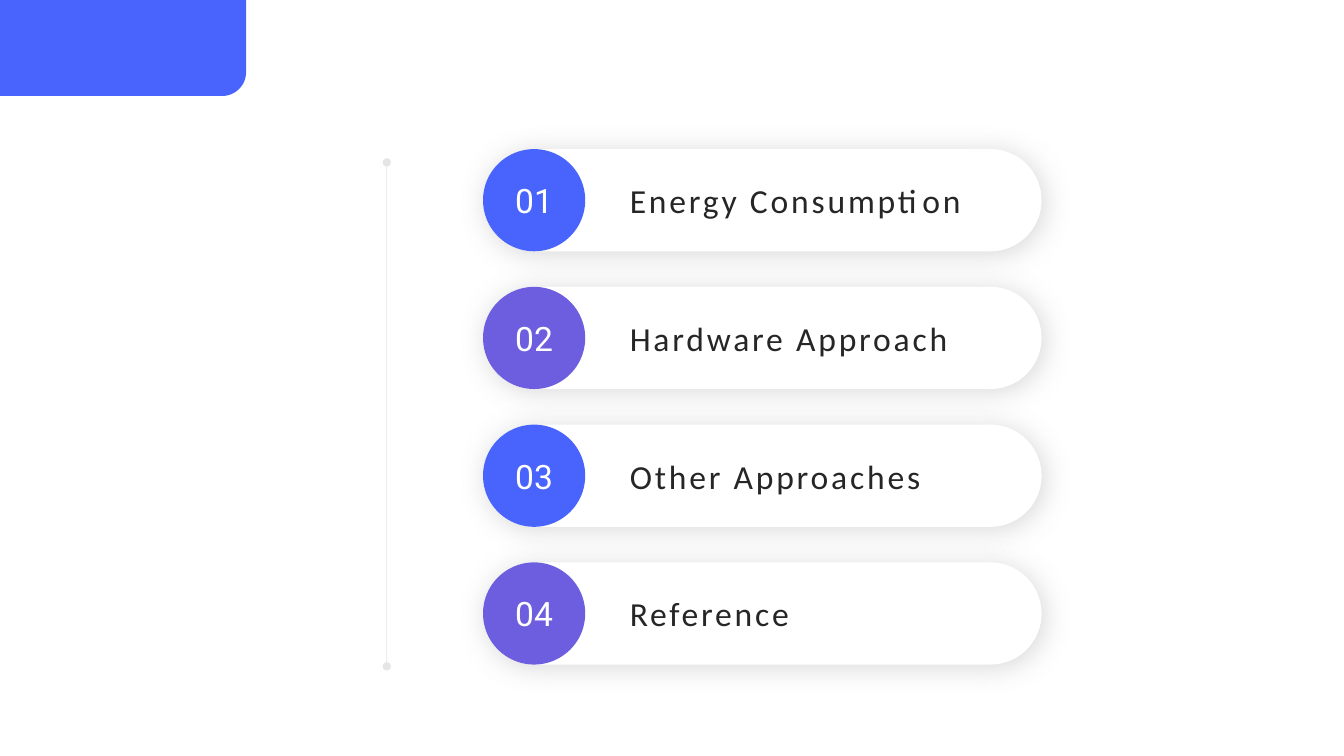
from dataclasses import dataclass

from lxml import etree
from pptx import Presentation
from pptx.dml.color import RGBColor
from pptx.enum import shapes, text
from pptx.oxml import ns, parse_xml
from pptx.util import Pt


@dataclass(frozen=True)
class Theme:
    blue: str = "4864FC"
    violet: str = "6C5EDE"
    white: str = "FFFFFF"
    gray: str = "808080"
    ink: str = "262626"
    digit: str = "Roboto"
    label: str = "Calibri"
    size: float = 24
    track: int = 200


THEME = Theme()
KIND = shapes.MSO_SHAPE
TOPICS = ["Energy Consumption", "Hardware Approach", "Other Approaches", "Reference"]


def apply(item, values):
    for name, value in values.items():
        setattr(item, name, value)


def color(value):
    return RGBColor.from_string(value)


def draw(slide, kind, box, fill):
    """Add a flat filled shape without outline."""
    shape = slide.shapes.add_shape(kind, *map(Pt, box))
    shape.shadow.inherit = False
    shape.fill.solid()
    shape.fill.fore_color.rgb = color(fill)
    shape.line.fill.background()
    return shape


def write(shape, words, font, ink, align, pad=0, wrap=True):
    """Put one vertically centred line of text in a shape."""
    frame = shape.text_frame
    apply(frame, {
        "margin_left": Pt(pad), "margin_right": Pt(pad),
        "margin_top": 0, "margin_bottom": 0, "word_wrap": wrap,
        "vertical_anchor": text.MSO_ANCHOR.MIDDLE,
    })
    para = frame.paragraphs[0]
    para.alignment = align
    run = para.add_run()
    run.text = words
    apply(run.font, {"name": font, "size": Pt(THEME.size)})
    run.font.color.rgb = color(ink)
    return run


def cast(shape):
    """Give a shape a soft shadow to the lower right."""
    effects = shape._element.spPr.find(ns.qn("a:effectLst"))
    effects.append(parse_xml(
        f'<a:outerShdw {ns.nsdecls("a")} blurRad="{Pt(20)}" dist="{Pt(3)}" '
        f'dir="2700000" algn="tl" rotWithShape="0"><a:srgbClr val="{THEME.gray}">'
        '<a:alpha val="30000"/></a:srgbClr></a:outerShdw>'))


def corner(slide, box):
    """Tab with its lower right corner rounded, by a quarter turn."""
    left, top, width, height = box
    shift = (width - height) / 2
    tab = draw(slide, KIND.ROUND_1_RECTANGLE,
               (left + shift, top - shift, height, width), THEME.blue)
    tab.rotation = 90
    tab.adjustments[0] = 0.25


def rail(slide, box):
    """Pale vertical line with a dot at each end."""
    left, top, width, height = box
    line = slide.shapes.add_connector(
        shapes.MSO_CONNECTOR.STRAIGHT, Pt(left), Pt(top), Pt(left + width), Pt(top + height))
    line.line.width = Pt(0.5)
    line.line.color.rgb = color(THEME.gray)
    props = line._element.spPr
    stroke = props.find(ns.qn("a:ln"))
    tint = stroke.find(".//" + ns.qn("a:srgbClr"))
    etree.SubElement(tint, ns.qn("a:alpha"), val="20000")
    for end in ("a:headEnd", "a:tailEnd"):
        etree.SubElement(stroke, ns.qn(end), type="oval")
    etree.SubElement(props, ns.qn("a:effectLst"))


def topic(slide, box, number, words):
    """Pill with a numbered disc and a label."""
    left, top, width, height = box
    pill = draw(slide, KIND.ROUNDED_RECTANGLE, box, THEME.white)
    pill.adjustments[0] = 0.5
    cast(pill)

    fill = THEME.blue if number % 2 else THEME.violet
    disc = draw(slide, KIND.OVAL, (left, top, height, height), fill)
    write(disc, f"{number:02}", THEME.digit, THEME.white, text.PP_ALIGN.CENTER, wrap=False)

    inset = 97.8
    label = slide.shapes.add_textbox(
        *map(Pt, (left + inset, top, width - inset, height)))
    run = write(label, words, THEME.label, THEME.ink, text.PP_ALIGN.LEFT, pad=7.2)
    run._r.get_or_add_rPr().set("spc", str(THEME.track))


def agenda(slide, box):
    """Stack of topics at an even pitch."""
    left, top, width, height = box
    tall = 73
    pitch = (height - tall) / (len(TOPICS) - 1)
    for i, words in enumerate(TOPICS):
        topic(slide, (left, top + i * pitch, width, tall), i + 1, words)


def main():
    deck = Presentation()
    apply(deck, {"slide_width": Pt(960), "slide_height": Pt(540)})
    slide = deck.slides.add_slide(deck.slide_layouts[6])
    rail(slide, (276.3, 116, 0, 360))
    corner(slide, (0, 0, 175.8, 68.6))
    agenda(slide, (345, 106.5, 399, 368.2))
    deck.save("out.pptx")


if __name__ == "__main__":
    main()
